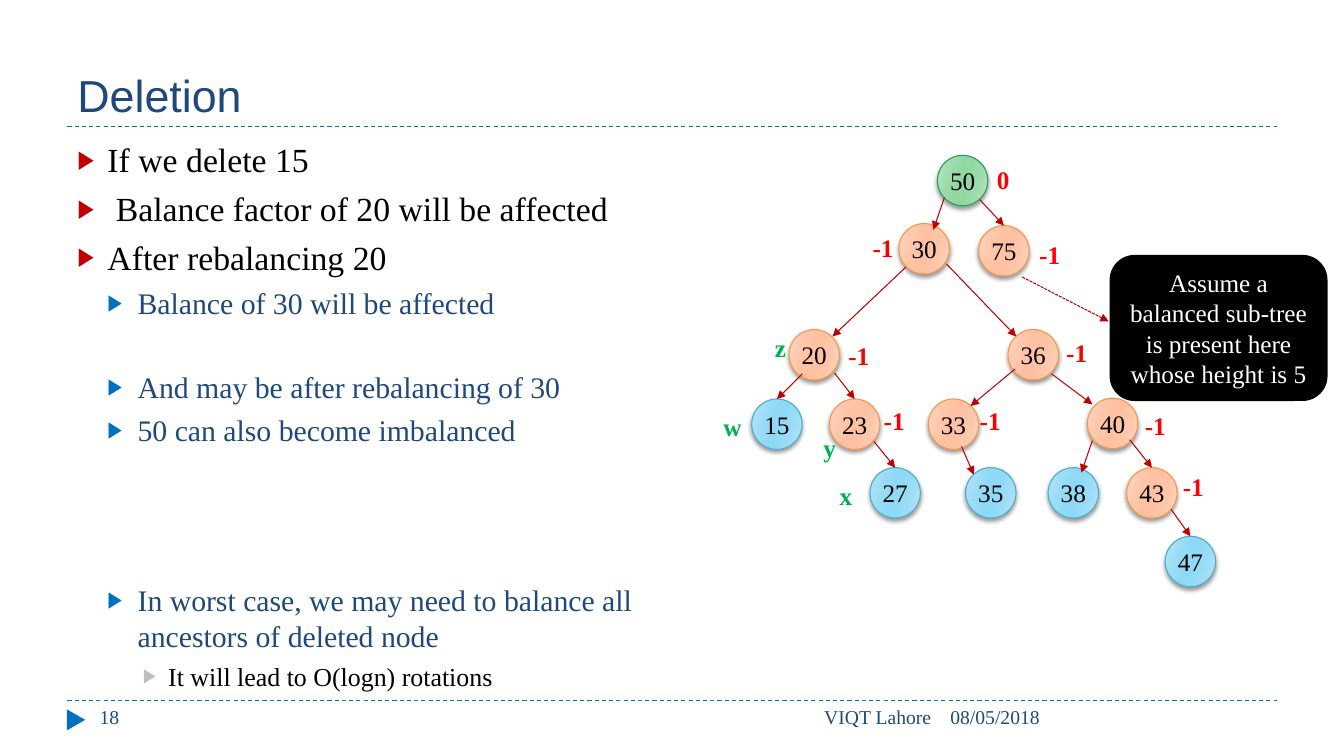
from lxml import etree
from pptx import Presentation
from pptx import util as u
from pptx.dml.color import RGBColor
from pptx.enum import dml, shapes, text
from pptx.oxml import ns

NAVY = RGBColor(0x1F, 0x49, 0x7D)
BLUE = RGBColor(0x00, 0x70, 0xC0)
CRIMSON = RGBColor(0xC0, 0x00, 0x00)
RED = RGBColor(0xFF, 0x00, 0x00)
GREEN = RGBColor(0x00, 0xB0, 0x50)
GREY = RGBColor(0xBD, 0xBD, 0xBD)
BLACK = RGBColor(0x00, 0x00, 0x00)
WHITE = RGBColor(0xFF, 0xFF, 0xFF)
SERIF, SANS = "Times New Roman", "Arial"

ROOT = (RGBColor(0xBB, 0xE4, 0xC5), RGBColor(0x9B, 0xDB, 0xAB),
        RGBColor(0x8F, 0xD8, 0xA1), RGBColor(0x27, 0x9D, 0x57))
INNER = (RGBColor(0xFF, 0xD7, 0xC5), RGBColor(0xFF, 0xC6, 0xAA),
         RGBColor(0xFF, 0xC1, 0xA1), RGBColor(0xF7, 0x96, 0x46))
LEAF = (RGBColor(0xB9, 0xE5, 0xF7), RGBColor(0x99, 0xDC, 0xF6),
        RGBColor(0x8D, 0xD9, 0xF6), RGBColor(0x4B, 0xAC, 0xC6))

NODE_SIZE = 1.27
NODES = {
    50: (6.48, 0.74, ROOT), 30: (5.51, 2.46, INNER), 20: (2.74, 5.13, INNER),
    15: (1.8, 6.88, LEAF), 23: (3.76, 6.88, INNER), 27: (4.78, 8.61, LEAF),
    33: (6.25, 6.88, INNER), 36: (8.26, 5.13, INNER), 40: (10.26, 6.86, INNER),
    35: (7.19, 8.61, LEAF), 38: (9.27, 8.61, LEAF), 43: (11.25, 8.61, INNER),
    47: (12.22, 10.34, LEAF), 75: (7.52, 2.51, INNER),
}
TOP = (0, -NODE_SIZE / 2)
EDGES = [
    (50, 30, (-0.46, 0.43), (0.23, -0.48)), (50, 75, (0.43, 0.48), TOP),
    (30, 20, (-0.46, 0.46), (0.46, -0.46)), (30, 36, (0.56, 0.38), (-0.43, -0.46)),
    (20, 15, (-0.3, 0.48), TOP), (20, 23, (0.51, 0.46), TOP),
    (36, 33, (-0.46, 0.36), (0.43, -0.46)), (36, 40, (0.46, 0.48), (-0.51, -0.48)),
    (23, 27, (0.48, 0.43), TOP), (33, 35, (0.2, 0.56), (-0.43, -0.46)),
    (40, 38, (-0.51, 0.43), (0.2, -0.51)), (40, 43, (0.43, 0.41), TOP),
    (43, 47, (0.48, 0.41), TOP),
]
FACTORS = [
    (50, "0", 0.61, -0.53), (75, "-1", 0.64, -0.41), (30, "-1", -1.55, -0.53),
    (20, "-1", 0.61, -0.48), (36, "-1", 0.58, -0.56), (33, "-1", 0.41, -0.61),
    (40, "-1", 0.56, -0.46), (43, "-1", 0.53, -0.66), (23, "-1", 0.48, -0.61),
]
ROLES = [(15, "w", -1.6, -0.46), (20, "z", -1.24, -0.69),
         (23, "y", -1.04, 0.08), (27, "x", -1.65, -0.43)]
LABEL_WIDTHS = {"-1": 1.04, "w": 0.97}

LEVELS = [
    dict(margin=0.76, hang=0.76, size=24.1, color=BLACK, bullet=CRIMSON),
    dict(margin=1.52, hang=0.76, size=21.3, color=NAVY, bullet=BLUE),
    dict(margin=2.29, hang=0.64, size=18.5, color=BLACK, bullet=GREY),
]
POINTS = [
    (0, 6, "If we delete 15"),
    (0, 6, " Balance factor of 20 will be affected"),
    (0, 6, "After rebalancing 20"),
    (1, 5, "Balance of 30 will be affected"),
    (1, 35, "And may be after rebalancing of 30"),
    (1, 5, "50 can also become imbalanced"),
    (1, 96, "In worst case, we may need to balance all ancestors of deleted node"),
    (2, 5, "It will lead to O(logn) rotations"),
]


def cm(*lengths):
    """Convert centimetre numbers to lengths."""
    return [u.Cm(length) for length in lengths]


def add_xml(parent, tag, **attributes):
    """Append a drawing element and return it."""
    return etree.SubElement(parent, ns.qn(tag), attributes)


def write(para, words, size=18, color=BLACK, font=SERIF, bold=False, align=text.PP_ALIGN.LEFT):
    """Put one formatted run in a paragraph."""
    span = para.add_run()
    span.text = words
    span.font.size, span.font.name, span.font.bold = u.Pt(size), font, bold
    span.font.color.rgb = color
    para.alignment = align


def add_text(page, box, words, wrap=True, anchor=text.MSO_ANCHOR.TOP, **look):
    """Place a text box with one line of text."""
    frame = page.shapes.add_textbox(*cm(*box)).text_frame
    frame.word_wrap, frame.vertical_anchor = wrap, anchor
    write(frame.paragraphs[0], words, **look)


def add_line(page, start, end, color, dash=None, arrow=False):
    """Draw a thin straight line, with an arrowhead if asked."""
    line = page.shapes.add_connector(shapes.MSO_CONNECTOR.STRAIGHT, *cm(*start, *end))
    line.line.color.rgb, line.line.width = color, u.Pt(0.75)
    if dash:
        line.line.dash_style = dash
    if arrow:
        add_xml(line.line._get_or_add_ln(), "a:tailEnd", type="triangle")
    add_xml(line._element.spPr, "a:effectLst")


def add_shape(page, kind, box, fill, outline=None, width=0.75):
    """Draw a flat preset shape."""
    shape = page.shapes.add_shape(kind, *cm(*box))
    shape.shadow.inherit = False
    shape.fill.solid()
    shape.fill.fore_color.rgb = fill
    if outline is None:
        shape.line.fill.background()
    else:
        shape.line.color.rgb, shape.line.width = outline, u.Pt(width)
    return shape


def add_node(page, center, value, style):
    """Draw a shaded tree node around its center."""
    light, middle, deep, outline = style
    corner = [place - NODE_SIZE / 2 for place in center]
    node = add_shape(page, shapes.MSO_SHAPE.OVAL, (*corner, NODE_SIZE, NODE_SIZE), deep, outline)
    node.fill.gradient()
    gradient = node._element.spPr.find(ns.qn("a:gradFill"))
    stops = gradient.find(ns.qn("a:gsLst"))
    for stop in list(stops):
        stops.remove(stop)
    for percent, color in zip((0, 30, 45, 55, 73, 100), (light, middle, deep, deep, middle, light)):
        stop = add_xml(stops, "a:gs", pos=str(percent * 1000))
        add_xml(stop, "a:srgbClr", val=str(color))
    gradient.find(ns.qn("a:lin")).set("ang", "960000")
    effects = node._element.spPr.find(ns.qn("a:effectLst"))
    shadow = add_xml(effects, "a:outerShdw", blurRad="38100", dist="25400",
                     dir="5400000", rotWithShape="0")
    add_xml(add_xml(shadow, "a:srgbClr", val=str(BLACK)), "a:alpha", val="40000")
    frame = node.text_frame
    frame.margin_left = frame.margin_right = 0
    frame.vertical_anchor = text.MSO_ANCHOR.MIDDLE
    write(frame.paragraphs[0], str(value), align=text.PP_ALIGN.CENTER)


def add_header(page, left, top, width, height):
    """Place the title above its dashed rule."""
    add_line(page, (left, top + height), (left + width, top + height), BLUE, dml.MSO_LINE.DASH)
    add_text(page, (left, top, width, height), "Deletion", size=32, color=NAVY, font=SANS,
             anchor=text.MSO_ANCHOR.BOTTOM)


def add_footer(page, left, top, width, height):
    """Place the rule, marker, page number, institute and date."""
    add_line(page, (left, top), (left + width, top), BLUE, dml.MSO_LINE.DASH)
    marker = add_shape(page, shapes.MSO_SHAPE.ISOSCELES_TRIANGLE,
                       (left - 0.05, top + 0.26, 0.53, 0.46), BLUE)
    marker.rotation = 90
    for offset, span_width, words, align in (
            (22, 8.48, "08/05/2018", text.PP_ALIGN.LEFT),
            (9.04, 12.98, "VIQT Lahore", text.PP_ALIGN.RIGHT),
            (0.56, 7.34, "18", text.PP_ALIGN.LEFT)):
        add_text(page, (left + offset, top, span_width, height), words,
                 size=14, color=NAVY, align=align)


def add_points(page, left, top, width, height):
    """Place the bulleted explanation."""
    frame = page.shapes.add_textbox(*cm(left, top, width, height)).text_frame
    frame.word_wrap = True
    for index, (level, gap, words) in enumerate(POINTS):
        para = frame.add_paragraph() if index else frame.paragraphs[0]
        look = LEVELS[level]
        write(para, words, size=look["size"], color=look["color"])
        para.level, para.space_before = level, u.Pt(gap)
        format_xml = para._p.get_or_add_pPr()
        format_xml.set("marL", str(u.Cm(look["margin"])))
        format_xml.set("indent", str(-u.Cm(look["hang"])))
        add_xml(add_xml(format_xml, "a:buClr"), "a:srgbClr", val=str(look["bullet"]))
        add_xml(format_xml, "a:buSzPct", val="76000")
        add_xml(format_xml, "a:buFont", typeface=SANS)
        add_xml(format_xml, "a:buChar", char="▶")


def add_tree(page, left, top):
    """Draw the tree, its labels and the note on the right sub-tree."""
    centers = {value: (left + x, top + y) for value, (x, y, _) in NODES.items()}

    def near(value, shift):
        return centers[value][0] + shift[0], centers[value][1] + shift[1]

    for value, (_, _, style) in NODES.items():
        add_node(page, centers[value], value, style)
    for parent, child, start, end in EDGES:
        add_line(page, near(parent, start), near(child, end), CRIMSON, arrow=True)
    for labels, color in ((ROLES, GREEN), (FACTORS, RED)):
        for value, words, *shift in labels:
            add_text(page, (*near(value, shift), LABEL_WIDTHS.get(words, 0.84), 1.02), words,
                     wrap=False, color=color, bold=True)
    add_line(page, near(75, (0.46, 0.66)), (left + 10.16, top + 4.29), CRIMSON,
             dml.MSO_LINE.SQUARE_DOT, arrow=True)
    note = add_shape(page, shapes.MSO_SHAPE.ROUNDED_RECTANGLE,
                     (left + 10.21, top + 2.64, 5.44, 3.63), BLACK, BLACK, 1.5)
    note.text_frame.word_wrap = True
    note.text_frame.vertical_anchor = text.MSO_ANCHOR.MIDDLE
    write(note.text_frame.paragraphs[0], color=WHITE, align=text.PP_ALIGN.CENTER,
          words="Assume a balanced sub-tree is present here whose height is 5")


def main():
    """Build the slide and save it."""
    deck = Presentation()
    deck.slide_width, deck.slide_height = cm(33.87, 19.05)
    page = deck.slides.add_slide(deck.slide_layouts[6])
    add_header(page, 1.7, 0.43, 30.48, 2.75)
    add_footer(page, 1.7, 17.65, 30.48, 1.02)
    add_points(page, 1.7, 3.38, 15.57, 13.72)
    add_tree(page, 17.78, 3.81)
    deck.save("out.pptx")


if __name__ == "__main__":
    main()
